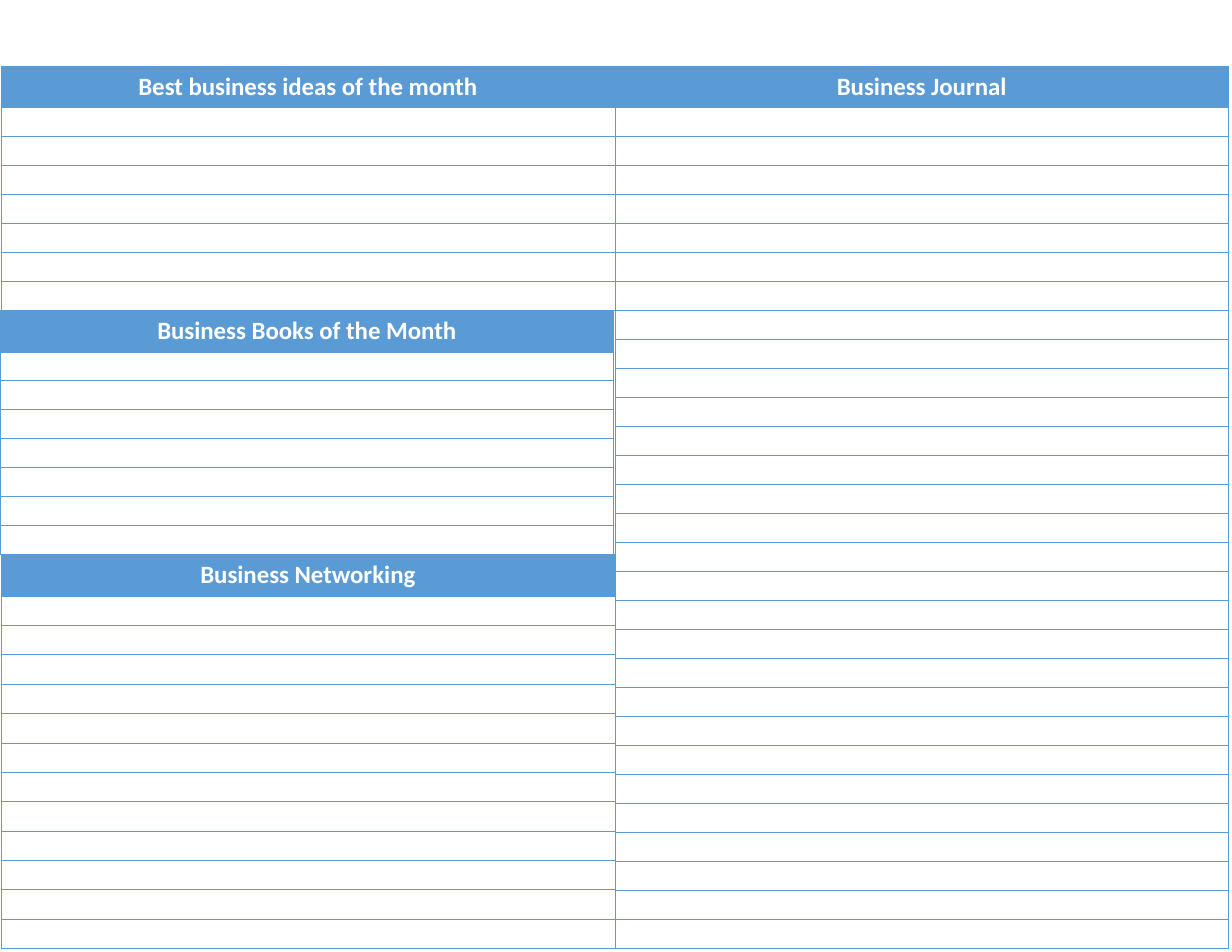
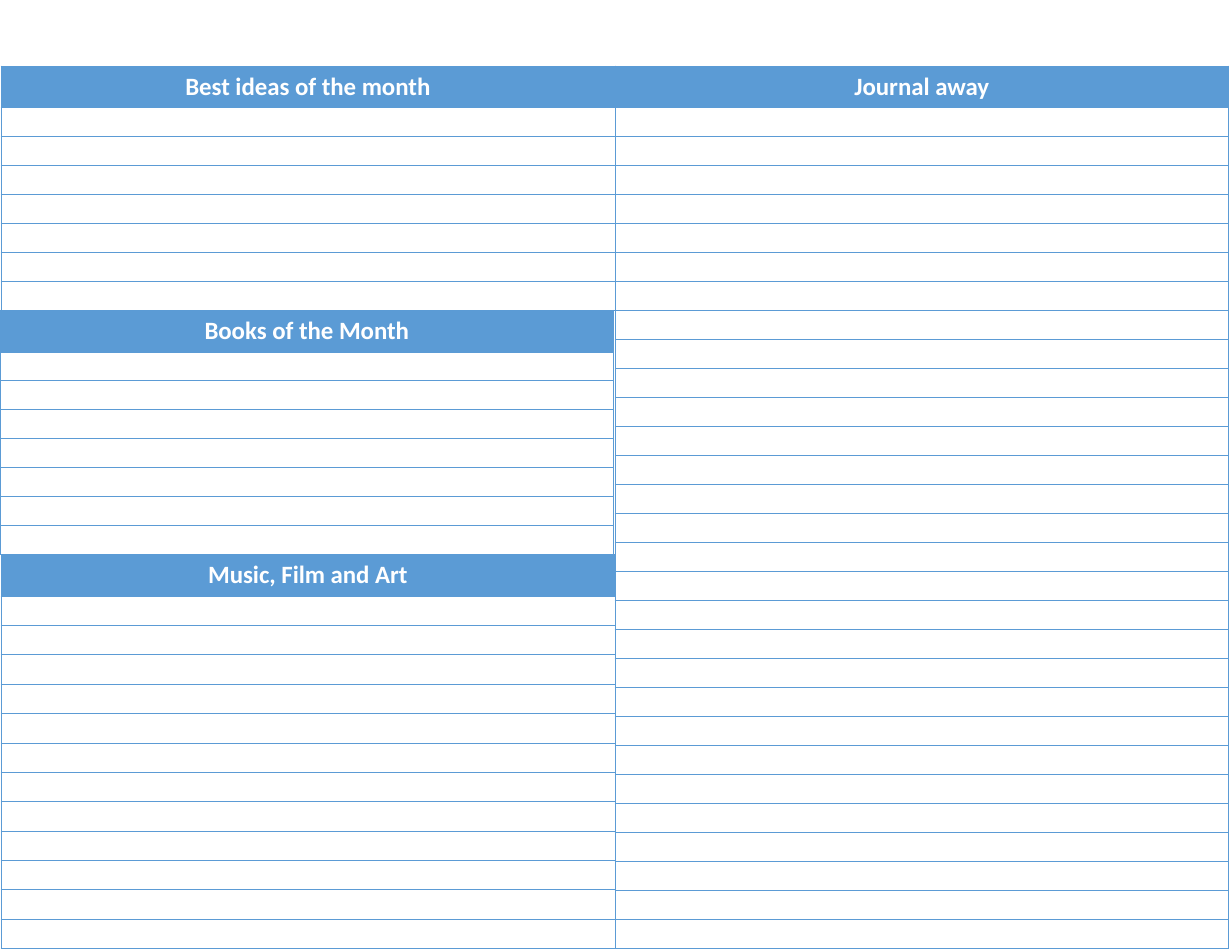
from lxml.etree import SubElement
from pptx import Presentation
from pptx.dml.color import RGBColor
from pptx.enum.text import MSO_ANCHOR as Anchor, PP_ALIGN as Align
from pptx.oxml.ns import qn
from pptx.util import Inches, Pt

BLUE = RGBColor(0x5B, 0x9B, 0xD5)
WHITE = RGBColor(0xFF, 0xFF, 0xFF)

TOP = 0.59
COLUMN_WIDTH = 5.48
HEADER_HEIGHT = 0.37
SHORT_HEIGHT = 2.18
BOOKS_TOP = TOP + SHORT_HEIGHT
LAST_TOP = BOOKS_TOP + SHORT_HEIGHT

SECTIONS = [
    (0.01, TOP, SHORT_HEIGHT, 7),
    (5.49, TOP, 7.88, 29),
    (0, BOOKS_TOP, SHORT_HEIGHT, 7),
    (0.01, LAST_TOP, 3.52, 12),
]

PAGES = [
    ["Best business ideas of the month", "Business Journal",
     "Business Books of the Month", "Business Networking"],
    ["Best ideas of the month", "Journal away",
     "Books of the Month", "Music, Film and Art"],
]


class Planner:
    font = "Calibri"
    header_size = Pt(16)
    line_size = Pt(8)
    border_width = Pt(0.5)

    def __init__(self, deck):
        self.deck = deck
        self.page = None

    def add_page(self):
        self.page = self.deck.slides.add_slide(self.deck.slide_layouts[6])

    def add_section(self, title, left, top, height, line_count):
        frame = self.page.shapes.add_table(
            line_count + 1, 1, Inches(left), Inches(top),
            Inches(COLUMN_WIDTH), Inches(height))
        table = frame.table
        table.horz_banding = False
        line_height = Inches((height - HEADER_HEIGHT) / line_count)
        for index, row in enumerate(table.rows):
            cell = row.cells[0]
            self.add_borders(cell)
            if index == 0:
                row.height = Inches(HEADER_HEIGHT)
                self.format_header(cell, title)
            else:
                row.height = line_height
                self.format_line(cell)

    def add_borders(self, cell):
        properties = cell._tc.get_or_add_tcPr()
        for side in ("a:lnL", "a:lnR", "a:lnT", "a:lnB"):
            border = SubElement(properties, qn(side), w=str(self.border_width))
            fill = SubElement(border, qn("a:solidFill"))
            SubElement(fill, qn("a:srgbClr"), val=str(BLUE))

    def format_header(self, cell, title):
        cell.fill.solid()
        cell.fill.fore_color.rgb = BLUE
        cell.vertical_anchor = Anchor.MIDDLE
        para = cell.text_frame.paragraphs[0]
        para.alignment = Align.CENTER
        span = para.add_run()
        span.text = title
        span.font.name = self.font
        span.font.size = self.header_size
        span.font.bold = True
        span.font.color.rgb = WHITE

    def format_line(self, cell):
        cell.fill.background()
        para = cell.text_frame.paragraphs[0]
        size = str(int(self.line_size.pt * 100))
        SubElement(para._p, qn("a:endParaRPr"), sz=size)


def main():
    deck = Presentation()
    deck.slide_width = Inches(11)
    deck.slide_height = Inches(8.5)
    planner = Planner(deck)
    for titles in PAGES:
        planner.add_page()
        for title, section in zip(titles, SECTIONS):
            planner.add_section(title, *section)
    deck.save("out.pptx")


if __name__ == "__main__":
    main()
